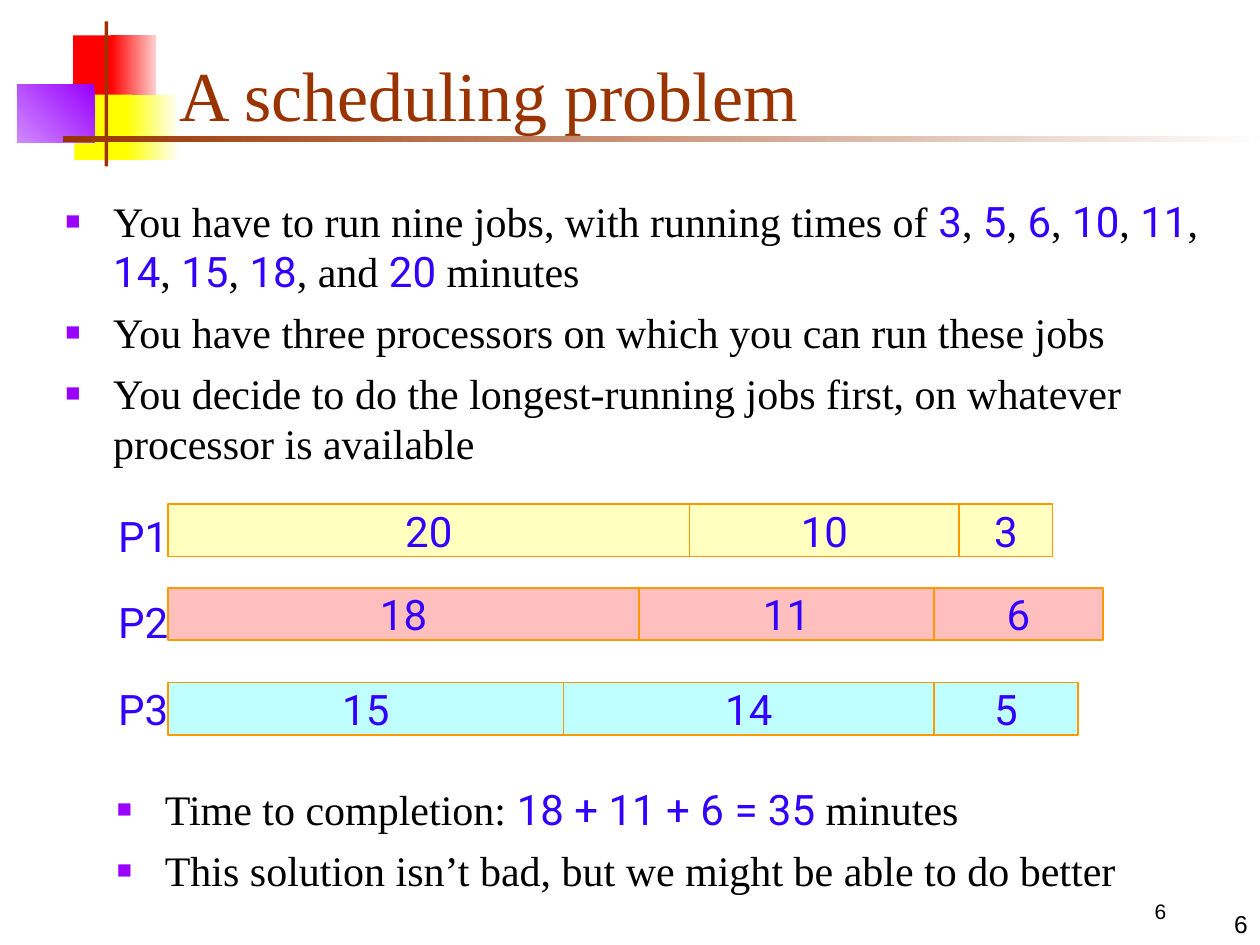
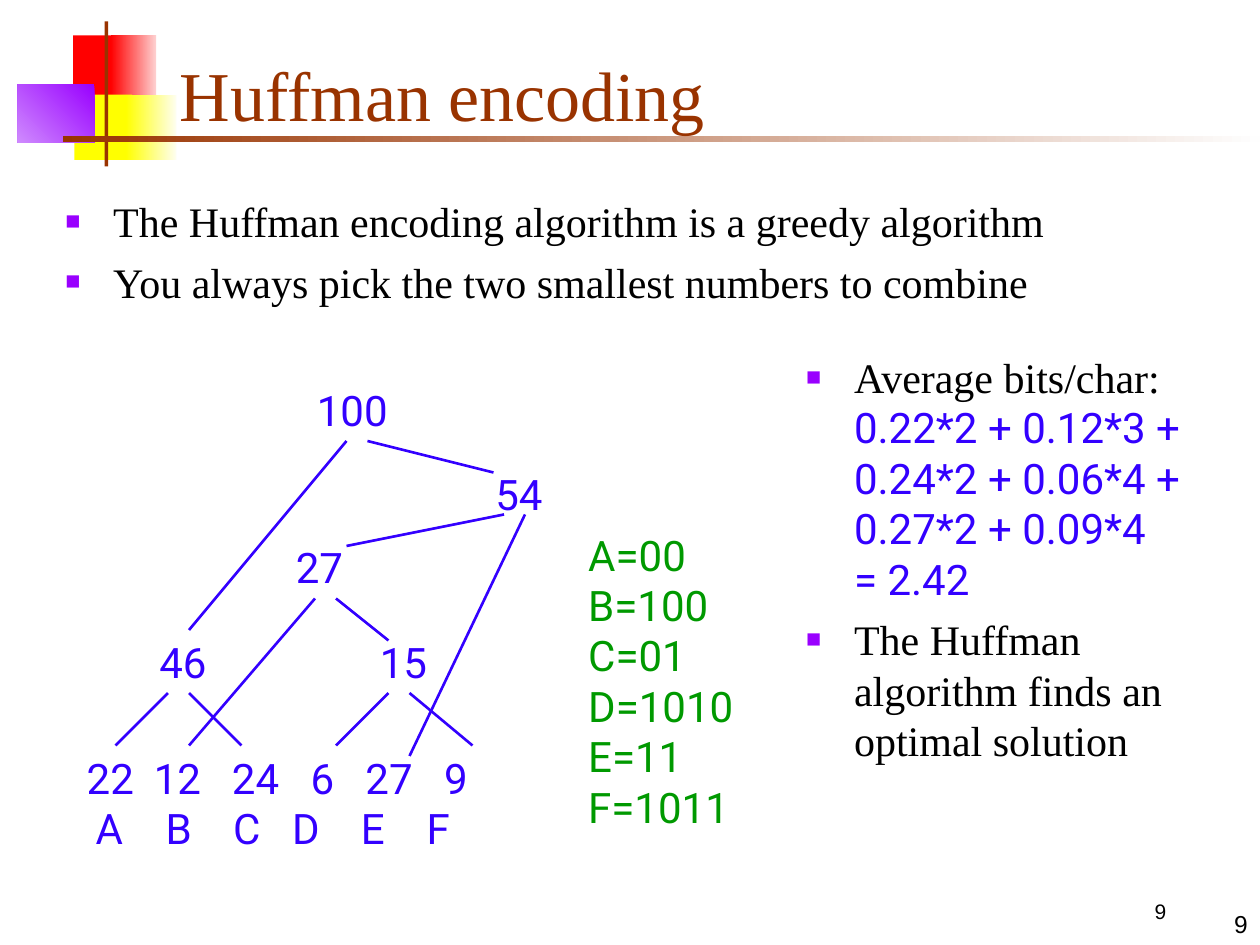
import pptx
import pptx.util
import pptx.dml.color
import pptx.enum.shapes
import pptx.enum.text
import pptx.oxml
import pptx.oxml.ns

# ---- Shared look ----
COLOURS = {
    "brown": "993300", "haze": "FEFEFE", "ink": "000000", "blue": "3300FF",
    "green": "009900", "violet": "9900FF", "lilac": "CF8AFE",
    "red": "FF0000", "pink": "FED0D0", "yellow": "FFFF00", "cream": "FEFEEF",
    "orange": "FF9900", "P1": "FFFFBF", "P2": "FFBFBF", "P3": "BFFFFF",
}
SERIF, SANS, PLAIN = "Times New Roman", "Roboto", "Arial"
WIDTH, HEIGHT = 10, 7.5
GRID = 12  # grid cells per inch
ALIGN = pptx.enum.text.PP_ALIGN
ANCHOR = pptx.enum.text.MSO_ANCHOR

# left, top, width, height in inches, colours, gradient angle
EMBLEM = [
    (0.58, 0.28, 0.35, 0.52, ["red"], 0),
    (0.88, 0.28, 0.36, 0.52, ["red", "pink"], 0),
    (0.59, 0.75, 0.46, 0.52, ["yellow"], 0),
    (1, 0.75, 0.4, 0.52, ["yellow", "cream"], 0),
    (0.14, 0.67, 0.61, 0.46, ["violet", "lilac"], 225),
    (0.83, 0.17, 0.03, 1.15, ["brown"], 0),
    (0.5, 1.08, 9.5, 0.05, ["brown", "haze"], 0),
]

# ---- Content: backticks mark figures set in blue Roboto ----
SCHEDULING = {
    "title": "A scheduling problem",
    "number": "6",
    "problem": [
        "You have to run nine jobs, with running times of `3`, `5`, `6`, `10`, "
        "`11`, `14`, `15`, `18`, and `20` minutes",
        "You have three processors on which you can run these jobs",
        "You decide to do the longest-running jobs first, on whatever "
        "processor is available",
    ],
    # processor: (top in grid cells, minutes of each job)
    "processors": {
        "P1": (48, [20, 10, 3]),
        "P2": (56, [18, 11, 6]),
        "P3": (65, [15, 14, 5]),
    },
    "result": [
        "Time to completion: `18 + 11 + 6 = 35` minutes",
        "This solution isn’t bad, but we might be able to do better",
    ],
}

HUFFMAN = {
    "title": "Huffman encoding",
    "number": "9",
    "method": [
        "The Huffman encoding algorithm is a greedy algorithm",
        "You always pick the two smallest numbers to combine",
    ],
    "average": [
        "Average bits/char:\n`0.22*2 + 0.12*3 +\n0.24*2 + 0.06*4 +\n"
        "0.27*2 + 0.09*4\n= 2.42`",
        "The Huffman algorithm finds an optimal solution",
    ],
    "codes": "A=00\nB=100\nC=01\nD=1010\nE=11\nF=1011",
    # label, column, row, columns wide, branches as (from, to) in grid cells
    "sums": [
        ("15", 35, 60, 9, [((37, 66), (32, 71)), ((39, 66), (45, 71))]),
        ("27", 27, 51, 7, [((30, 57), (18, 71)), ((32, 57), (37, 61))]),
        ("46", 14, 60, 9, [((16, 66), (11, 71)), ((18, 66), (23, 71))]),
        ("54", 46, 44, 8, [((50, 49), (39, 72)), ((48, 49), (33, 52))]),
        ("100", 29, 36, 10, [((33, 42), (18, 60)), ((35, 42), (47, 45))]),
    ],
    # leaf entries and the centre of each, in inches from the text edge
    "leaves": [
        (["22", "12", "24", "6", "27", "9"], [0.18, 0.72, 1.34, 1.87, 2.4, 2.93]),
        (["A", "B", "C", "D", "E", "F"], [0.18, 0.73, 1.27, 1.74, 2.27, 2.79]),
    ],
}


# ---- Helpers ----
def inches(*lengths):
    return [pptx.util.Inches(length) for length in lengths]


def cells(*counts):
    return [count / GRID for count in counts]


def rgb(name):
    return pptx.dml.color.RGBColor.from_string(COLOURS[name])


def add_xml(parent, xml):
    head, rest = xml.split(" ", 1) if " " in xml.split(">")[0] else xml.split(">", 1)
    gap = " " if " " in xml.split(">")[0] else ">"
    declaration = " " + pptx.oxml.ns.nsdecls("a")
    parent.append(pptx.oxml.parse_xml(head + declaration + gap + rest))


def add_bullet(paragraph):
    properties = paragraph._p.get_or_add_pPr()
    indent = pptx.util.Inches(0.38)
    properties.set("marL", str(indent))
    properties.set("indent", str(-indent))
    add_xml(properties, f'<a:buClr><a:srgbClr val="{COLOURS["violet"]}"/></a:buClr>')
    add_xml(properties, '<a:buSzPct val="60000"/>')
    add_xml(properties, '<a:buFont typeface="Arial"/>')
    add_xml(properties, '<a:buChar char="■"/>')


def write(frame, paragraphs, size=24, font=SANS, colour="blue", align=ALIGN.LEFT,
          anchor=ANCHOR.TOP, before=0, spacing=None, bullets=False, stops=()):
    frame.word_wrap = True
    frame.vertical_anchor = anchor
    for index, text in enumerate(paragraphs):
        paragraph = frame.add_paragraph() if index else frame.paragraphs[0]
        paragraph.alignment = align
        paragraph.space_before = pptx.util.Pt(before)
        if spacing:
            paragraph.line_spacing = spacing
        if bullets:
            add_bullet(paragraph)
        if stops:
            tabs = "".join(f'<a:tab pos="{pptx.util.Inches(stop)}" algn="ctr"/>'
                           for stop in stops)
            add_xml(paragraph._p.get_or_add_pPr(), f"<a:tabLst>{tabs}</a:tabLst>")
        for part, passage in enumerate(text.split("`")):
            for row, words in enumerate(passage.split("\n")):
                if row:
                    paragraph.add_line_break()
                if words:
                    run = paragraph.add_run()
                    run.text = words
                    run.font.size = pptx.util.Pt(size)
                    run.font.name = SANS if part % 2 else font
                    run.font.color.rgb = rgb("blue" if part % 2 else colour)


def add_text(slide, box, paragraphs, **style):
    write(slide.shapes.add_textbox(*inches(*box)).text_frame, paragraphs, **style)


def add_bullets(slide, box, paragraphs):
    add_text(slide, box, paragraphs, font=SERIF, colour="ink", before=6, bullets=True)


def add_block(slide, box, colours, angle=0, outline=None):
    block = slide.shapes.add_shape(pptx.enum.shapes.MSO_SHAPE.RECTANGLE, *inches(*box))
    block.shadow.inherit = False
    if len(colours) > 1:
        block.fill.gradient()
        block.fill.gradient_angle = angle
        for stop, colour in zip(block.fill.gradient_stops, colours):
            stop.color.rgb = rgb(colour)
    else:
        block.fill.solid()
        block.fill.fore_color.rgb = rgb(colours[0])
    if outline:
        block.line.color.rgb = rgb(outline)
        block.line.width = pptx.util.Pt(1)
    else:
        block.line.fill.background()
    return block


def add_branch(slide, start, end):
    branch = slide.shapes.add_connector(
        pptx.enum.shapes.MSO_CONNECTOR.STRAIGHT, *inches(*cells(*start, *end)))
    branch.line.color.rgb = rgb("blue")
    branch.line.width = pptx.util.Pt(1.5)
    add_xml(branch._element.spPr, "<a:effectLst ></a:effectLst>")


def start_slide(deck, content):
    slide = deck.slides.add_slide(deck.slide_layouts[6])
    for *box, colours, angle in EMBLEM:
        add_block(slide, box, colours, angle)
    add_text(slide, (8.67, 7.08, 1.08, 0.33), [content["number"]], size=12,
             font=PLAIN, colour="ink", align=ALIGN.CENTER)
    add_text(slide, (1.33, 0.33, 8.52, 0.83), [content["title"]], size=40,
             font=SERIF, colour="brown", anchor=ANCHOR.MIDDLE)
    add_text(slide, (WIDTH - 2.08, HEIGHT - 0.5, 2.08, 0.5), [content["number"]],
             size=14, font=PLAIN, colour="ink", align=ALIGN.RIGHT, anchor=ANCHOR.BOTTOM)
    return slide


# ---- Slides ----
def build_scheduling(deck):
    slide = start_slide(deck, SCHEDULING)
    add_bullets(slide, (0.42, 1.5, 9.38, 2.31), SCHEDULING["problem"])

    # Job bars: each as long as its minutes, plus a small allowance
    for processor, (row, jobs) in SCHEDULING["processors"].items():
        left, top, height = cells(16, row, 5)
        for minutes in jobs:
            length = 0.2 * minutes + 0.14
            job = add_block(slide, (left, top, length, height), [processor],
                            outline="orange")
            write(job.text_frame, [str(minutes)], align=ALIGN.CENTER,
                  anchor=ANCHOR.MIDDLE)
            left += length

    add_text(slide, (0.84, 3.92, 0.66, 1.95), list(SCHEDULING["processors"]),
             before=15, spacing=1.2)
    add_bullets(slide, (0.83, 6.17, 8.42, 1.17), SCHEDULING["result"])


def build_huffman(deck):
    slide = start_slide(deck, HUFFMAN)
    add_bullets(slide, (0.42, 1.5, 9.38, 1.16), HUFFMAN["method"])
    add_bullets(slide, (6.3, 2.74, 3.49, 3.97), HUFFMAN["average"])

    # Leaves: numbers above, letters below
    for row, (entries, stops) in enumerate(HUFFMAN["leaves"]):
        add_text(slide, (0.59, 5.92 + 0.4 * row, 3.5, 0.5),
                 ["\t" + "\t".join(entries)], stops=stops)

    # Sums and their branches
    for label, column, row, columns, branches in HUFFMAN["sums"]:
        add_text(slide, cells(column, row, columns, 6), [label])
        for start, end in branches:
            add_branch(slide, start, end)

    add_text(slide, (4.57, 4.15, 1.45, 2.5), [HUFFMAN["codes"]], colour="green")


def main():
    deck = pptx.Presentation()
    deck.slide_width, deck.slide_height = inches(WIDTH, HEIGHT)
    build_scheduling(deck)
    build_huffman(deck)
    deck.save("out.pptx")


if __name__ == "__main__":
    main()
